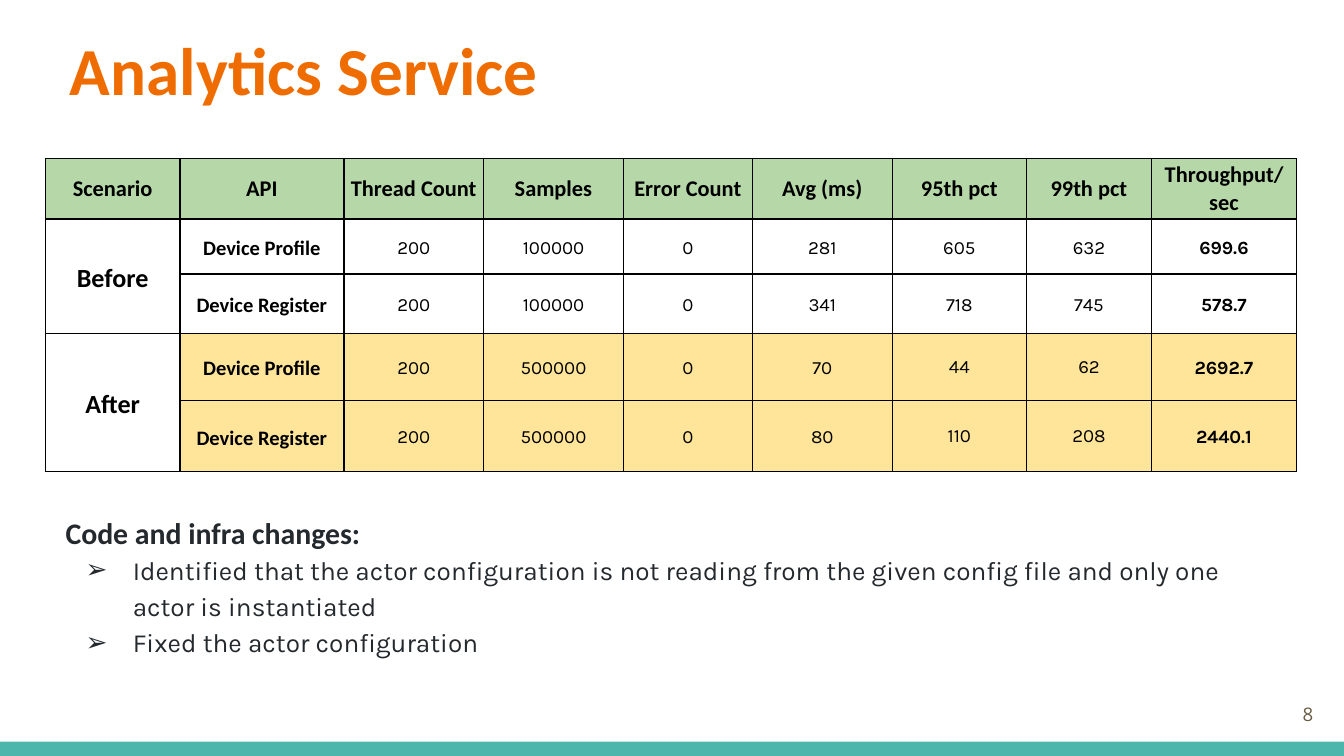
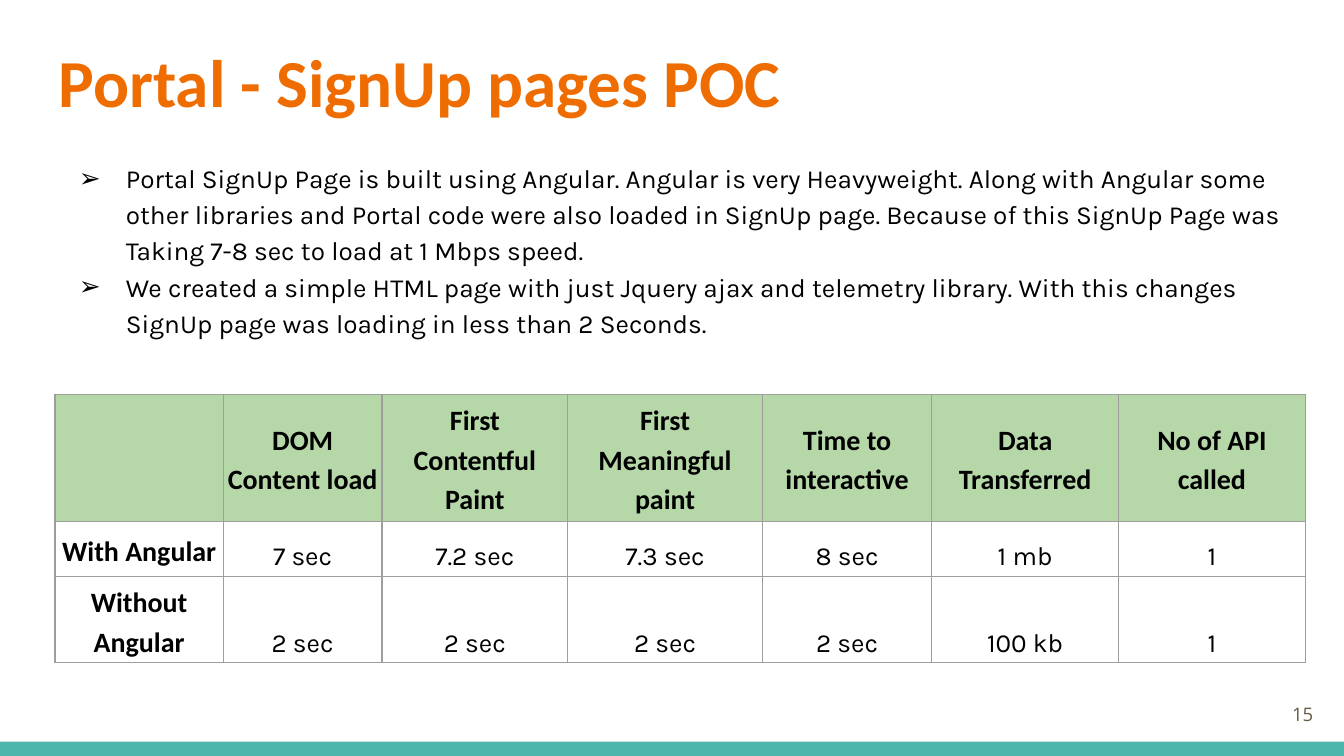
import dataclasses

import lxml.etree
import pptx
import pptx.dml.color
import pptx.enum.shapes
import pptx.enum.text
import pptx.oxml.ns
import pptx.util

Cm = pptx.util.Cm
Pt = pptx.util.Pt
Align = pptx.enum.text.PP_ALIGN
Anchor = pptx.enum.text.MSO_ANCHOR


@dataclasses.dataclass(frozen=True)
class Theme:
    accent: str = "EF6C00"
    band: str = "4DB6AC"
    number: str = "695D46"
    ink: str = "000000"
    soft_ink: str = "24292E"
    header: str = "B6D7A8"
    highlight: str = "FFE599"
    grey: str = "9E9E9E"
    heading_font: str = "Calibri"
    body_font: str = "Karla"
    number_font: str = "Open Sans"
    title_size: float = 36
    subhead_size: float = 16
    column_size: float = 15
    body_size: float = 14
    header_size: float = 12
    label_size: float = 11
    small_size: float = 10
    spacing: float = 1.15


THEME = Theme()


def rgb(value):
    return pptx.dml.color.RGBColor.from_string(value)


def add_element(parent, tag, **attributes):
    return lxml.etree.SubElement(parent, pptx.oxml.ns.qn(tag), attributes)


def write(frame, text, *, font=THEME.body_font, size=THEME.body_size, color=THEME.ink,
          bold=False, align=Align.LEFT, spacing=1.0, bullet=None):
    para = frame.paragraphs[0] if not frame.text else frame.add_paragraph()
    para.alignment = align
    para.line_spacing = spacing
    if bullet:
        properties = para._p.get_or_add_pPr()
        properties.set("marL", str(Cm(1.27)))
        properties.set("indent", str(Cm(-0.89)))
        add_element(add_element(properties, "a:buClr"), "a:srgbClr", val=color)
        add_element(properties, "a:buFont", typeface=font)
        add_element(properties, "a:buChar", char=bullet)
    span = para.add_run()
    span.text = text
    span.font.name = font
    span.font.size = Pt(size)
    span.font.bold = bold
    span.font.color.rgb = rgb(color)


class SlideBuilder:
    def __init__(self, deck, theme):
        self.deck = deck
        self.theme = theme
        self.page = None

    def new_page(self, title, left, top, number):
        theme = self.theme
        self.page = self.deck.slides.add_slide(self.deck.slide_layouts[6])
        band = self.page.shapes.add_shape(
            pptx.enum.shapes.MSO_SHAPE.RECTANGLE, 0, Cm(14.02), self.deck.slide_width, Cm(0.27))
        band.shadow.inherit = False
        band.fill.solid()
        band.fill.fore_color.rgb = rgb(theme.band)
        band.line.fill.background()
        write(self.text_box(left, top, 23.67, 1.96), title, font=theme.heading_font,
              size=theme.title_size, color=theme.accent, bold=True)
        write(self.text_box(23.55, 12.95, 1.52, 1.09, Anchor.MIDDLE), str(number),
              font=theme.number_font, size=theme.small_size, color=theme.number,
              align=Align.RIGHT)

    def text_box(self, left, top, width, height, anchor=Anchor.TOP):
        box = self.page.shapes.add_textbox(Cm(left), Cm(top), Cm(width), Cm(height))
        frame = box.text_frame
        frame.word_wrap = True
        frame.vertical_anchor = anchor
        frame.margin_left = frame.margin_right = Cm(0.25)
        frame.margin_top = frame.margin_bottom = Cm(0.25)
        return frame

    def bullets(self, frame, lines, color):
        for line in lines:
            write(frame, line, color=color, spacing=self.theme.spacing, bullet="➢")

    def table(self, left, top, widths, heights, rows, cell_format, border, margins, merges=()):
        shape = self.page.shapes.add_table(
            len(heights), len(widths), Cm(left), Cm(top), Cm(sum(widths)), Cm(sum(heights)))
        table = shape.table
        table.first_row = table.horz_banding = False
        for column, width in zip(table.columns, widths):
            column.width = Cm(width)
        for row, height in zip(table.rows, heights):
            row.height = Cm(height)
        for first, last in merges:
            table.cell(*first).merge(table.cell(*last))
        for r, values in enumerate(rows):
            for c, text in enumerate(values):
                self.fill_cell(table.cell(r, c), text, border, margins, **cell_format(r, c))

    def fill_cell(self, cell, text, border, margins, fill=None, anchor=Anchor.MIDDLE, **style):
        cell.margin_left = cell.margin_right = Cm(margins[0])
        cell.margin_top = cell.margin_bottom = Cm(margins[1])
        cell.vertical_anchor = anchor
        properties = cell._tc.get_or_add_tcPr()
        for side in ("a:lnL", "a:lnR", "a:lnT", "a:lnB"):
            line = add_element(properties, side, w=str(Pt(0.75)))
            add_element(add_element(line, "a:solidFill"), "a:srgbClr", val=border)
        if fill:
            cell.fill.solid()
            cell.fill.fore_color.rgb = rgb(fill)
        else:
            cell.fill.background()
        if text:
            write(cell.text_frame, text, align=Align.CENTER, **style)


def result_format(row, column):
    heading = dict(font=THEME.heading_font, bold=True)
    if row == 0:
        return dict(heading, size=THEME.header_size, fill=THEME.header)
    if column == 0:
        return dict(heading, size=THEME.body_size, spacing=THEME.spacing)
    after = row > 2
    fill = THEME.highlight if after else None
    if column == 1:
        return dict(heading, size=THEME.label_size, spacing=THEME.spacing, fill=fill)
    percentile = column in (6, 7)
    return dict(size=THEME.small_size, bold=column == 8, fill=fill,
                spacing=1.0 if after and percentile else THEME.spacing)


def load_format(row, column):
    if row == 0 or column == 0:
        return dict(font=THEME.heading_font, size=THEME.column_size, bold=True,
                    spacing=THEME.spacing, fill=THEME.header if row == 0 else None)
    return dict(spacing=THEME.spacing, anchor=Anchor.BOTTOM)


def analytics_page(builder):
    builder.new_page("Analytics Service", 1.07, 0.28, 8)
    builder.table(
        0.86, 3.0,
        [2.54, 3.1, 2.64, 2.64, 2.44, 2.64, 2.54, 2.36, 2.74],
        [1.14, 1.04, 1.12, 1.27, 1.35],
        [
            ["Scenario", "API", "Thread Count", "Samples", "Error Count", "Avg (ms)",
             "95th pct", "99th pct", "Throughput/sec"],
            ["Before", "Device Profile", "200", "100000", "0", "281", "605", "632", "699.6"],
            ["", "Device Register", "200", "100000", "0", "341", "718", "745", "578.7"],
            ["After", "Device Profile", "200", "500000", "0", "70", "44", "62", "2692.7"],
            ["", "Device Register", "200", "500000", "0", "80", "110", "208", "2440.1"],
        ],
        result_format, THEME.ink, (0.08, 0.05),
        merges=[((1, 0), (2, 0)), ((3, 0), (4, 0))])
    changes = builder.text_box(0.99, 9.37, 22.83, 3.53)
    write(changes, "Code and infra changes:", font=THEME.heading_font, size=THEME.subhead_size,
          color=THEME.soft_ink, bold=True, spacing=THEME.spacing)
    builder.bullets(changes, [
        "Identified that the actor configuration is not reading from the given config file "
        "and only one actor is instantiated",
        "Fixed the actor configuration",
    ], THEME.soft_ink)


def signup_page(builder):
    builder.new_page("Portal - SignUp pages POC", 0.86, 0.51, 15)
    builder.bullets(builder.text_box(0.86, 2.74, 23.67, 3.94), [
        "Portal SignUp Page is built using Angular. Angular is very Heavyweight. Along with "
        "Angular some other libraries and Portal code were also loaded in SignUp page. Because "
        "of this SignUp Page was Taking 7-8 sec to load at 1 Mbps speed.",
        "We created a simple HTML page with just Jquery ajax and telemetry library. With this "
        "changes SignUp page was loading in less than 2 Seconds.",
    ], THEME.ink)
    builder.table(
        1.04, 7.45,
        [3.18, 3.0, 3.51, 3.68, 3.2, 3.53, 3.53],
        [2.41, 1.04, 1.63],
        [
            ["", "DOM Content load", "First Contentful Paint", "First Meaningful paint",
             "Time to interactive", "Data Transferred", "No of API called"],
            ["With Angular", "7 sec", "7.2 sec", "7.3 sec", "8 sec", "1 mb", "1"],
            ["Without Angular", "2 sec", "2 sec", "2 sec", "2 sec", "100 kb", "1"],
        ],
        load_format, THEME.grey, (0.08, 0.08))


def main():
    deck = pptx.Presentation()
    deck.slide_width = Cm(25.4)
    deck.slide_height = Cm(14.29)
    builder = SlideBuilder(deck, THEME)
    analytics_page(builder)
    signup_page(builder)
    deck.save("out.pptx")


if __name__ == "__main__":
    main()
